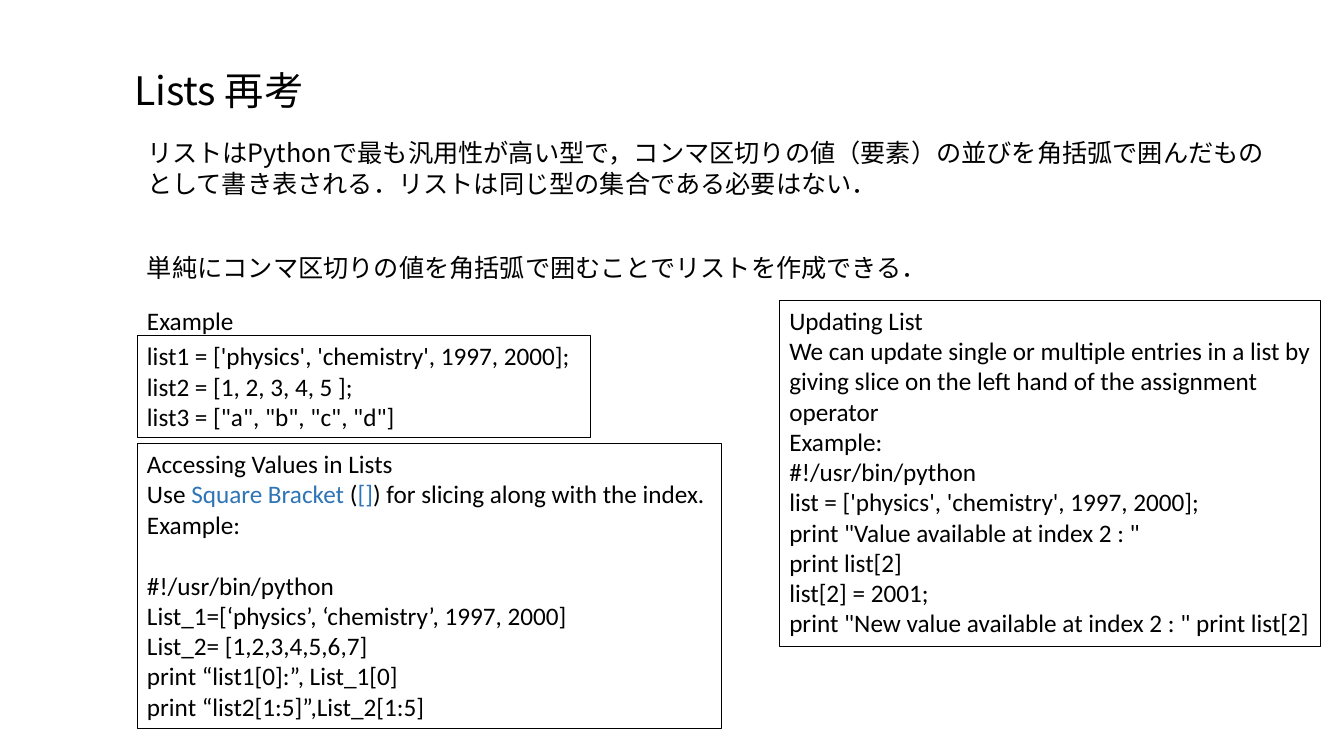
import pptx
import pptx.util
import pptx.dml.color
import pptx.enum.shapes
import pptx.enum.text
import pptx.oxml.ns
import lxml.etree

Inches, Pt = pptx.util.Inches, pptx.util.Pt
BLACK = pptx.dml.color.RGBColor(0x00, 0x00, 0x00)
BLUE = pptx.dml.color.RGBColor(0x2E, 0x75, 0xB6)
LATIN, CJK = "Calibri", "Noto Sans CJK JP"
LEFT = 1.36


def write(shape, lines, size=18, font=LATIN, wrap=False, gaps=(), pitch=None):
    """Fill a shape with lines; a line is a string or a list of (text, colour)."""
    frame = shape.text_frame
    frame.auto_size = pptx.enum.text.MSO_AUTO_SIZE.NONE
    frame.word_wrap = wrap
    frame.vertical_anchor = pptx.enum.text.MSO_ANCHOR.TOP
    for i, line in enumerate(lines):
        para = frame.paragraphs[0] if i == 0 else frame.add_paragraph()
        para.alignment = pptx.enum.text.PP_ALIGN.LEFT
        para.space_before = Pt(22 if i in gaps else 0)
        if pitch:
            para.line_spacing = Pt(pitch)
        for text, color in [(line, BLACK)] if isinstance(line, str) else line:
            run = para.add_run()
            run.text = text
            run.font.size = Pt(size)
            run.font.color.rgb = color
            run.font.name = font
            east = lxml.etree.SubElement(run.font._element, pptx.oxml.ns.qn("a:ea"))
            east.set("typeface", CJK)


deck = pptx.Presentation()
deck.slide_width, deck.slide_height = Inches(13.33), Inches(7.5)
slide = deck.slides.add_slide(deck.slide_layouts[5])

title = slide.shapes.title
title.left, title.top = Inches(1.23), Inches(0.6)
title.width, title.height = Inches(1.98), Inches(0.57)
write(title, ["Lists 再考"], size=28, font=CJK, pitch=34)

intro = ("リストはPythonで最も汎用性が高い型で，コンマ区切りの値（要素）の並びを角括弧で"
         "囲んだものとして書き表される．リストは同じ型の集合である必要はない．")
create = "単純にコンマ区切りの値を角括弧で囲むことでリストを作成できる．"
plain = [
    (1.31, 11.38, 0.71, intro, dict(font=CJK, wrap=True, pitch=22)),
    (2.45, 7.94, 0.4, create, dict(font=CJK, pitch=22)),
    (2.98, 1.13, 0.4, "Example ", {}),
]
for top, width, height, text, style in plain:
    box = slide.shapes.add_textbox(Inches(LEFT), Inches(top), Inches(width), Inches(height))
    write(box, [text], **style)

lists = [
    "list1 = ['physics', 'chemistry', 1997, 2000]; ",
    "list2 = [1, 2, 3, 4, 5 ]; ",
    'list3 = ["a", "b", "c", "d"]',
]
access = [
    "Accessing Values in Lists",
    [("Use ", BLACK), ("Square Bracket", BLUE), (" (", BLACK), ("[]", BLUE),
     (") for slicing along with the index.", BLACK)],
    "Example:",
    "#!/usr/bin/python",
    "List_1=[‘physics’, ‘chemistry’, 1997, 2000]",
    "List_2= [1,2,3,4,5,6,7]",
    "print “list1[0]:”, List_1[0]",
    "print “list2[1:5]”,List_2[1:5]",
]
update = [
    "Updating List",
    "We can update single or multiple entries in a list by giving slice "
    "on the left hand of the assignment operator",
    "Example:",
    "#!/usr/bin/python ",
    "list = ['physics', 'chemistry', 1997, 2000]; ",
    'print "Value available at index 2 : " ',
    "print list[2] ",
    "list[2] = 2001; ",
    'print "New value available at index 2 : " print list[2]',
]
framed = [
    (LEFT, 3.33, 4.5, 1.01, lists, {}),
    (LEFT, 4.4, 5.8, 2.83, access, dict(gaps=(3,))),
    (7.73, 2.98, 5.37, 3.43, update, dict(wrap=True)),
]
for left, top, width, height, lines, style in framed:
    box = slide.shapes.add_shape(
        pptx.enum.shapes.MSO_SHAPE.RECTANGLE,
        Inches(left), Inches(top), Inches(width), Inches(height))
    box.shadow.inherit = False
    box.fill.background()
    box.line.color.rgb = BLACK
    box.line.width = Pt(0.75)
    write(box, lines, **style)

deck.save("out.pptx")
